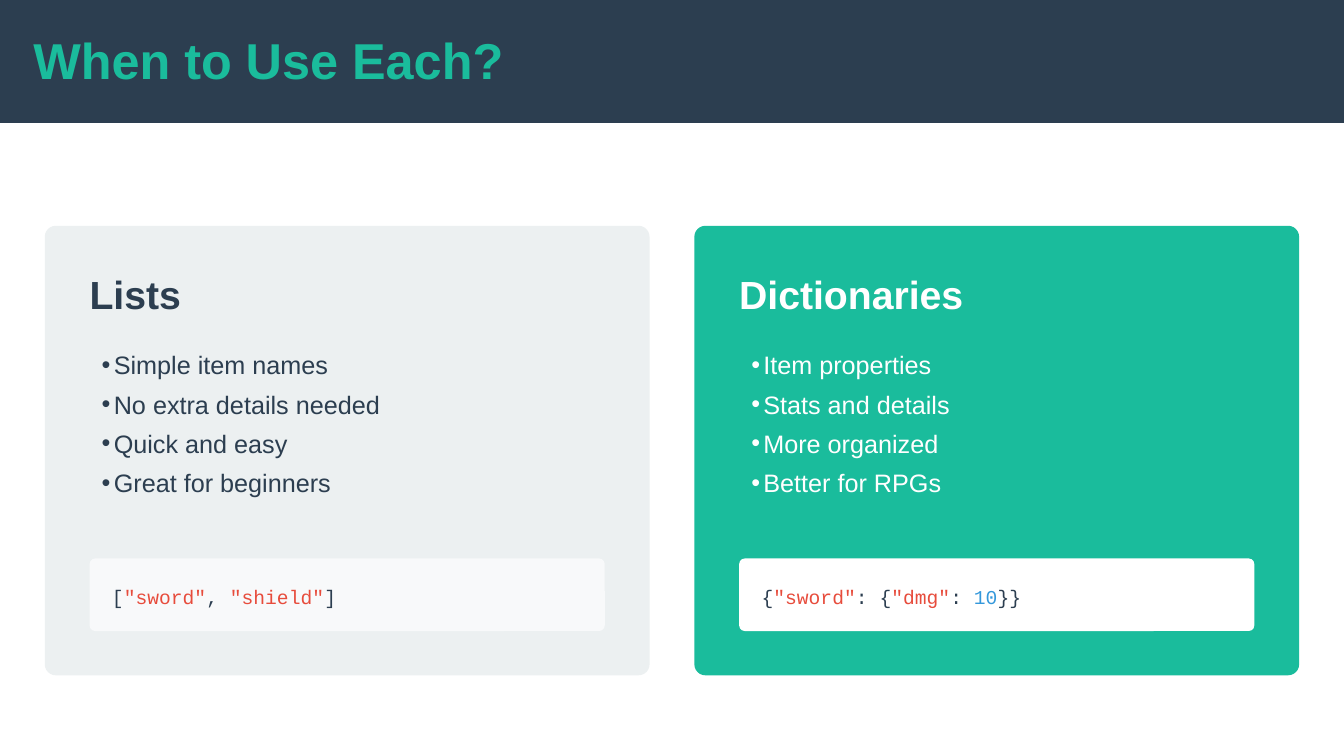
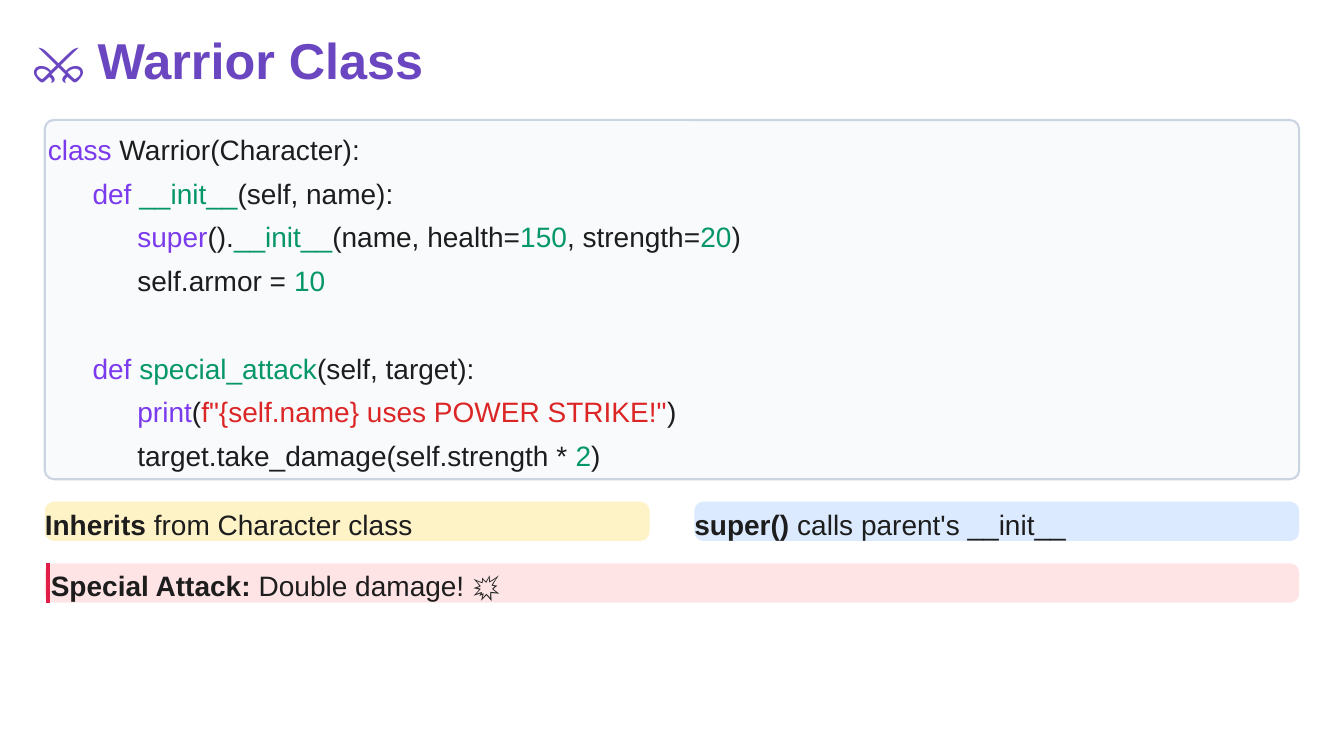
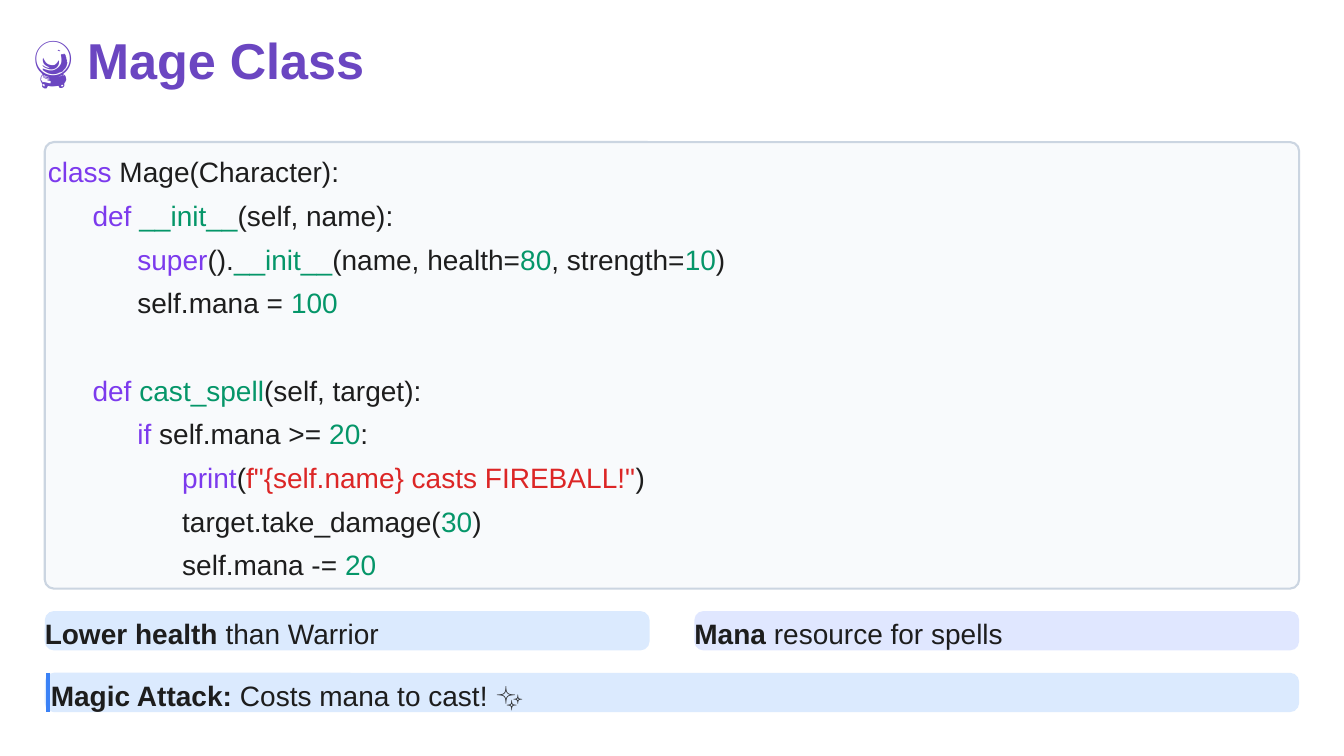
from pptx import Presentation
from pptx import util as u
from pptx.dml.color import RGBColor
from pptx.enum import shapes, text
from pptx.oxml.ns import qn
from lxml import etree

WIDTH, HEIGHT = 13.333, 7.5
UNIT = WIDTH / 30
COLUMN, FULL = 13.5 * UNIT, 28 * UNIT
ROW, LINE = 0.39, 0.433
GAP = UNIT / 2
RADIUS = 0.09

COLOURS = {
    "navy": "2C3E50", "teal": "1ABC9C", "purple": "6B46C1", "white": "FFFFFF",
    "plain": "1D1D1D", "keyword": "7C3AED", "value": "059669", "string": "DC2626",
    "text": "2C3E50", "quoted": "E74C3C", "number": "3498DB",
    "mist": "ECF0F1", "paper": "F8F9FA", "frame": "F8FAFC", "border": "CBD5E1",
    "yellow": "FEF3C7", "blue": "DBEAFE", "lilac": "E0E7FF", "pink": "FFE4E6",
    "red bar": "E11D48", "blue bar": "3B82F6",
}

COMPARISON = {
    "title": "When to Use Each?",
    "cards": [
        {
            "heading": "Lists",
            "points": ["Simple item names", "No extra details needed",
                       "Quick and easy", "Great for beginners"],
            "code": [("[", "text"), ('"sword"', "quoted"), (", ", "text"),
                     ('"shield"', "quoted"), ("]", "text")],
            "fill": "mist", "ink": "navy", "code fill": "paper",
        },
        {
            "heading": "Dictionaries",
            "points": ["Item properties", "Stats and details",
                       "More organized", "Better for RPGs"],
            "code": [("{", "text"), ('"sword"', "quoted"), (": {", "text"),
                     ('"dmg"', "quoted"), (": ", "text"), ("10", "number"), ("}}", "text")],
            "fill": "teal", "ink": "white", "code fill": "white",
        },
    ],
}


def class_opening(name, health, strength, attribute, amount):
    return [
        (0, [("class", "keyword"), (f" {name}(Character):", "plain")]),
        (1, [("def ", "keyword"), ("__init__", "value"), ("(self, name):", "plain")]),
        (2, [("super", "keyword"), ("().", "plain"), ("__init__", "value"),
             ("(name, health=", "plain"), (health, "value"),
             (", strength=", "plain"), (strength, "value"), (")", "plain")]),
        (2, [(f"self.{attribute} = ", "plain"), (amount, "value")]),
        None,
    ]


CLASSES = [
    {
        "title": "⚔️ Warrior Class",
        "top": 1.19,
        "code": class_opening("Warrior", "150", "20", "armor", "10") + [
            (1, [("def ", "keyword"), ("special_attack", "value"), ("(self, target):", "plain")]),
            (2, [("print", "keyword"), ("(", "plain"),
                 ('f"{self.name} uses POWER STRIKE!"', "string"), (")", "plain")]),
            (2, [("target.take_damage(self.strength * ", "plain"), ("2", "value"), (")", "plain")]),
        ],
        "notes": [("Inherits", " from Character class", "yellow"),
                  ("super()", " calls parent's __init__", "blue")],
        "attack": ("Special Attack:", " Double damage! 💥", "pink"),
        "bar": "red bar",
    },
    {
        "title": "🔮 Mage Class",
        "top": 1.41,
        "code": class_opening("Mage", "80", "10", "mana", "100") + [
            (1, [("def ", "keyword"), ("cast_spell", "value"), ("(self, target):", "plain")]),
            (2, [("if", "keyword"), (" self.mana >= ", "plain"), ("20", "value"), (":", "plain")]),
            (3, [("print", "keyword"), ("(", "plain"),
                 ('f"{self.name} casts FIREBALL!"', "string"), (")", "plain")]),
            (3, [("target.take_damage(", "plain"), ("30", "value"), (")", "plain")]),
            (3, [("self.mana -= ", "plain"), ("20", "value")]),
        ],
        "notes": [("Lower health", " than Warrior", "blue"),
                  ("Mana", " resource for spells", "lilac")],
        "attack": ("Magic Attack:", " Costs mana to cast! ✨", "blue"),
        "bar": "blue bar",
    },
]


def colour(name):
    return RGBColor.from_string(COLOURS[name])


def column_left(index):
    return UNIT + index * (COLUMN + UNIT)


def add_panel(slide, left, top, width, height, fill, radius=0, border=None):
    kind = shapes.MSO_SHAPE.ROUNDED_RECTANGLE if radius else shapes.MSO_SHAPE.RECTANGLE
    panel = slide.shapes.add_shape(kind, *map(u.Inches, (left, top, width, height)))
    panel.shadow.inherit = False
    panel.fill.solid()
    panel.fill.fore_color.rgb = colour(fill)
    if radius:
        panel.adjustments[0] = radius / height
    if border:
        panel.line.color.rgb = colour(border)
        panel.line.width = u.Pt(1.5)
    else:
        panel.line.fill.background()
    return panel


def prepare_frame(shape, left, top, width, height, inset=0):
    shape.left, shape.top, shape.width, shape.height = map(u.Inches, (left, top, width, height))
    shape.element.getparent().append(shape.element)
    frame = shape.text_frame
    frame.word_wrap = True
    frame.auto_size = text.MSO_AUTO_SIZE.NONE
    frame.vertical_anchor = text.MSO_ANCHOR.TOP
    frame.margin_left = u.Inches(inset)
    frame.margin_top = frame.margin_right = frame.margin_bottom = 0
    return frame


def add_text_box(slide, *box):
    return prepare_frame(slide.shapes.add_textbox(0, 0, 0, 0), *box)


def write(paragraph, runs, size, spacing, font="Arial"):
    paragraph.alignment = text.PP_ALIGN.LEFT
    paragraph.line_spacing = u.Pt(spacing)
    paragraph.space_before = paragraph.space_after = u.Pt(0)
    for words, ink, bold in runs:
        run = paragraph.add_run()
        run.text = words
        run.font.name = font
        run.font.size = u.Pt(size)
        run.font.bold = bold
        run.font.color.rgb = colour(ink)


def set_indent(paragraph, left, first=0):
    properties = paragraph._p.get_or_add_pPr()
    properties.set("marL", str(u.Inches(left)))
    properties.set("indent", str(u.Inches(first)))
    return properties


def paragraphs(frame, count):
    return [frame.paragraphs[0]] + [frame.add_paragraph() for _ in range(count - 1)]


def add_slide(presentation, layout, title, ink):
    slide = presentation.slides.add_slide(presentation.slide_layouts.get_by_name(layout))
    if layout == "Comparison":
        add_panel(slide, 0, 0, WIDTH, 1.22, "navy")
    frame = prepare_frame(slide.shapes.title, 0.33, 0.33, 6.47, 0.56)
    write(frame.paragraphs[0], [(title, ink, True)], 36, 40)
    return slide


def add_card(slide, index, card):
    left, top, height = column_left(index), 2.24, 4.46
    inner, inner_width = left + UNIT, COLUMN - 2 * UNIT
    add_panel(slide, left, top, COLUMN, height, card["fill"], 0.11)

    heading, points = [slide.placeholders[2 * index + offset] for offset in (1, 2)]
    frame = prepare_frame(heading, inner, top + UNIT, inner_width, 0.47)
    write(frame.paragraphs[0], [(card["heading"], card["ink"], True)], 28, 33.6)

    frame = prepare_frame(points, inner, top + 1.14, inner_width, 1.72, 0.12)
    for paragraph, point in zip(paragraphs(frame, len(card["points"])), card["points"]):
        properties = set_indent(paragraph, 0.12, -0.12)
        etree.SubElement(properties, qn("a:buChar")).set("char", "•")
        write(paragraph, [(point, card["ink"], False)], 18, 28)

    add_panel(slide, inner, top + 3.3, inner_width, 0.72, card["code fill"], 0.056)
    frame = add_text_box(slide, inner + GAP, top + 3.3 + GAP, inner_width - GAP, 0.27)
    runs = [(words, ink, False) for words, ink in card["code"]]
    write(frame.paragraphs[0], runs, 14, 19.6, "Courier New")


def add_code(slide, top, lines):
    height = len(lines) * LINE + 0.1
    add_panel(slide, UNIT, top, FULL, height, "frame", RADIUS, "border")
    frame = add_text_box(slide, UNIT + 0.03, top + 0.07, FULL, height - 0.1)
    written = [(row, line) for row, line in enumerate(lines) if line]
    previous = 0
    for paragraph, (row, (level, runs)) in zip(paragraphs(frame, len(written)), written):
        set_indent(paragraph, level * UNIT)
        write(paragraph, [(words, ink, False) for words, ink in runs], 20, 28)
        if row:
            paragraph.space_before = u.Pt((row - previous) * 31.2 - 28)
        previous = row
    return top + height


def add_note(slide, left, top, width, note, shift=0):
    lead, rest, fill = note
    add_panel(slide, left, top, width, ROW, fill, RADIUS)
    frame = add_text_box(slide, left + shift, top, width, ROW)
    write(frame.paragraphs[0], [(lead, "plain", True), (rest, "plain", False)], 20, 28)


def add_bar(slide, left, top, ink):
    ends = map(u.Inches, (left, top, left, top + ROW))
    bar = slide.shapes.add_connector(shapes.MSO_CONNECTOR.STRAIGHT, *ends)
    bar.line.color.rgb = colour(ink)
    bar.line.width = u.Pt(3)
    etree.SubElement(bar.element.spPr, qn("a:effectLst"))


def main():
    presentation = Presentation()
    presentation.slide_width = u.Inches(WIDTH)
    presentation.slide_height = u.Inches(HEIGHT)

    slide = add_slide(presentation, "Comparison", COMPARISON["title"], "teal")
    for index, card in enumerate(COMPARISON["cards"]):
        add_card(slide, index, card)

    for lesson in CLASSES:
        slide = add_slide(presentation, "Title Only", lesson["title"], "purple")
        notes_top = add_code(slide, lesson["top"], lesson["code"]) + GAP
        for index, note in enumerate(lesson["notes"]):
            add_note(slide, column_left(index), notes_top, COLUMN, note)
        attack_top = notes_top + ROW + GAP
        add_note(slide, UNIT, attack_top, FULL, lesson["attack"], 0.06)
        add_bar(slide, UNIT + 0.03, attack_top, lesson["bar"])

    presentation.save("out.pptx")


if __name__ == "__main__":
    main()
